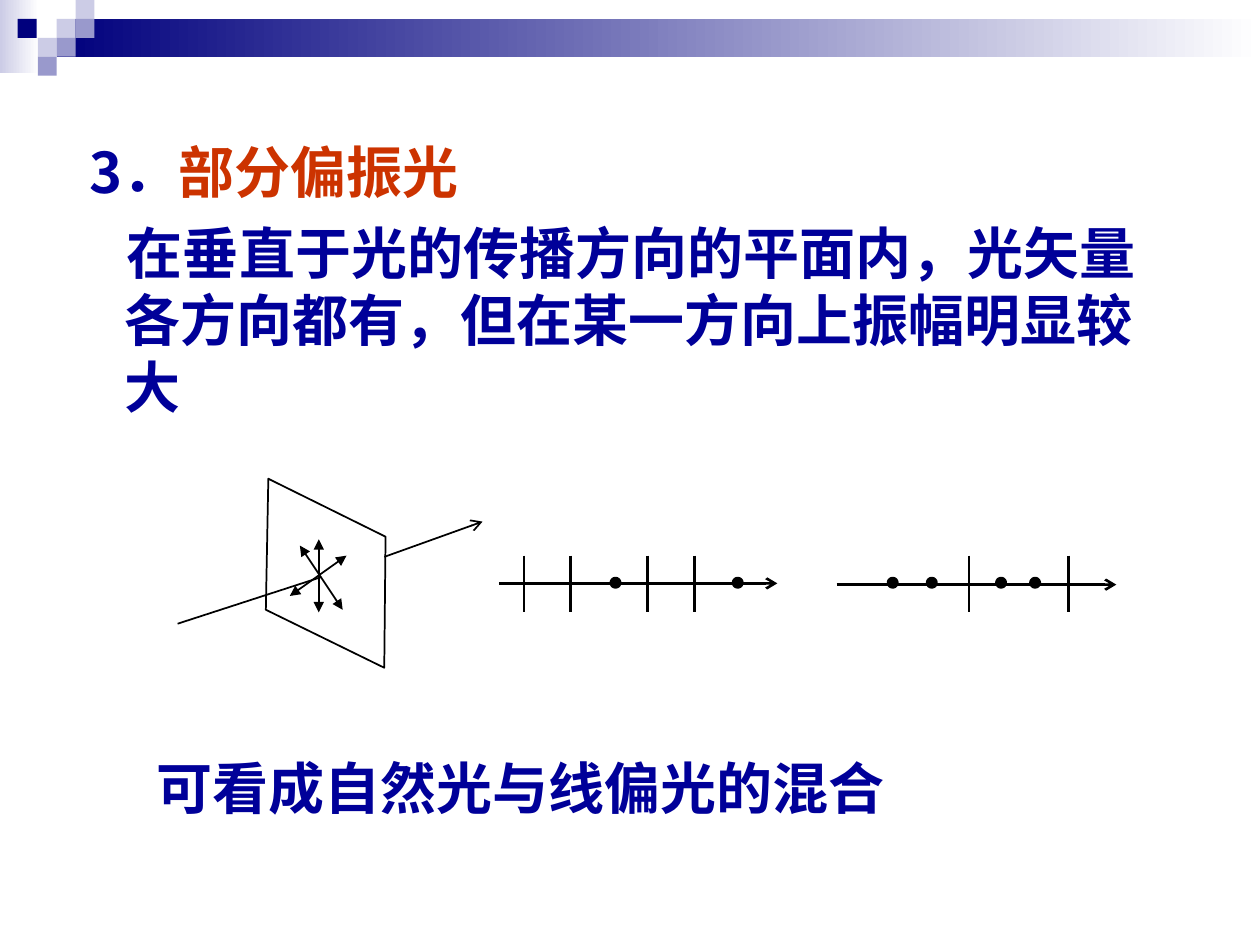
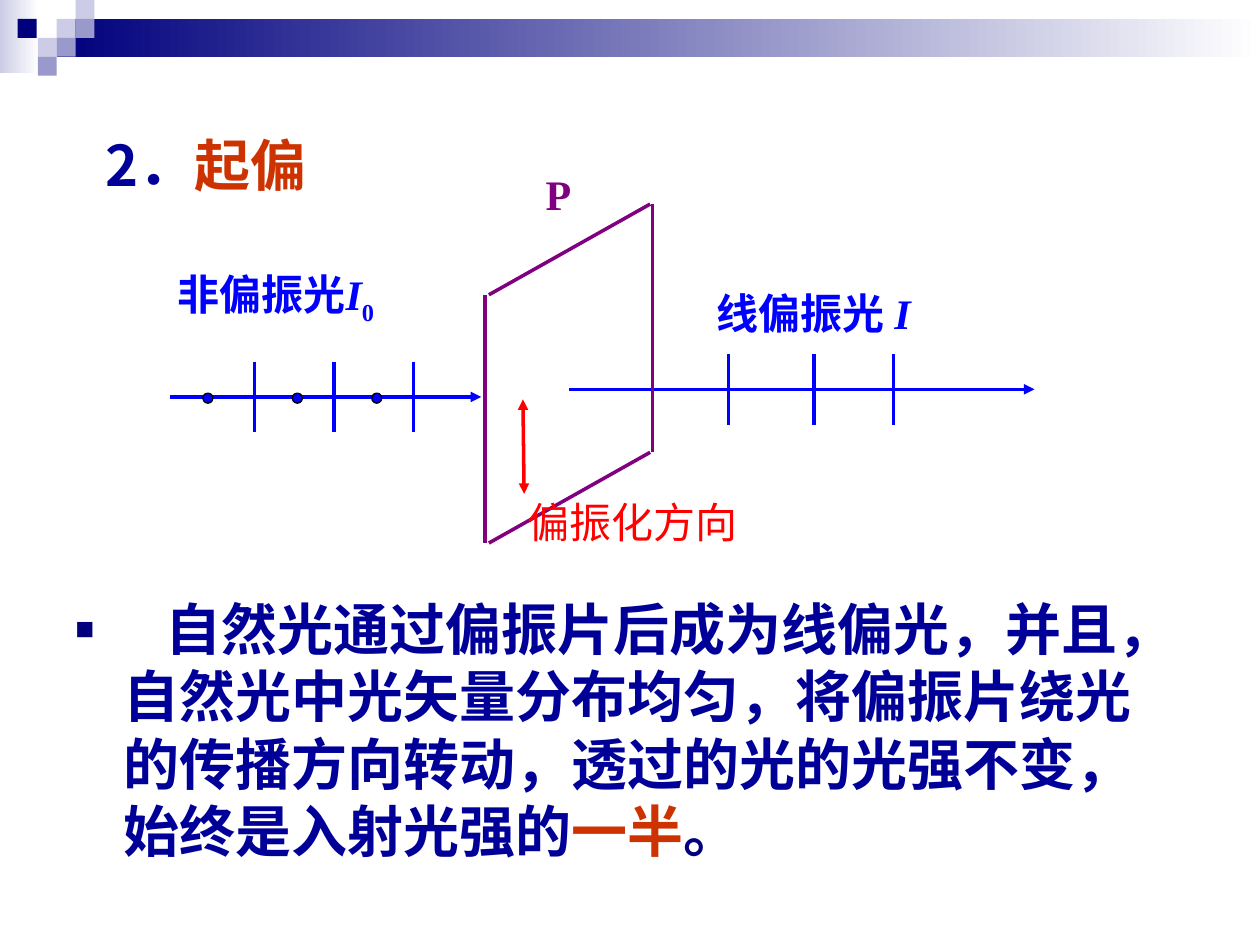
"""Two slides on partially polarized light and on producing polarized light."""
from lxml import etree
from pptx import Presentation
from pptx.dml.color import RGBColor
from pptx.enum.shapes import MSO_CONNECTOR, MSO_SHAPE
from pptx.enum.text import MSO_ANCHOR
from pptx.oxml.ns import qn
from pptx.util import Inches, Pt

RECT, OVAL = MSO_SHAPE.RECTANGLE, MSO_SHAPE.OVAL
STRAIGHT = MSO_CONNECTOR.STRAIGHT
TOP, MIDDLE = MSO_ANCHOR.TOP, MSO_ANCHOR.MIDDLE

WHITE = RGBColor(0xFF, 0xFF, 0xFF)
BLACK = RGBColor(0x00, 0x00, 0x00)
NAVY = RGBColor(0x00, 0x00, 0x7D)
LILAC = RGBColor(0xCC, 0xCC, 0xE6)
VIOLET = RGBColor(0x99, 0x99, 0xCC)
INK = RGBColor(0x00, 0x00, 0x99)
ACCENT = RGBColor(0xCC, 0x33, 0x00)
BLUE = RGBColor(0x00, 0x00, 0xFF)
PURPLE = RGBColor(0x80, 0x00, 0x80)
RED = RGBColor(0xFF, 0x00, 0x00)

CJK, SANS, SERIF = "Noto Sans CJK SC", "Arial", "Times New Roman"
HEADING = {"name": CJK, "size": Pt(32), "bold": True}
BODY = {"name": SANS, "size": Pt(32), "bold": True}
LABEL = {"name": SERIF, "size": Pt(24), "bold": True}


def add_line(s, x1, y1, x2, y2, color, width, head=None, tail=None):
    """Draw a straight line with optional arrowheads."""
    c = s.shapes.add_connector(STRAIGHT, Inches(x1), Inches(y1), Inches(x2), Inches(y2))
    c.line.color.rgb = color
    c.line.width = Pt(width)
    ln = c.line._get_or_add_ln()
    for tag, kind in (("a:headEnd", head), ("a:tailEnd", tail)):
        if kind:
            etree.SubElement(ln, qn(tag)).set("type", kind)
    etree.SubElement(c._element.spPr, qn("a:effectLst"))


def add_text(s, box, paragraphs, style, inset=(0.1, 0.05), anchor=TOP):
    """Add a text box; each paragraph is (left margin, first-line indent, runs)."""
    tf = s.shapes.add_textbox(*map(Inches, box)).text_frame
    tf.word_wrap = True
    tf.vertical_anchor = anchor
    tf.margin_left = tf.margin_right = Inches(inset[0])
    tf.margin_top = tf.margin_bottom = Inches(inset[1])
    for i, (margin, indent, runs) in enumerate(paragraphs):
        p = tf.add_paragraph() if i else tf.paragraphs[0]
        pPr = p._p.get_or_add_pPr()
        pPr.set("marL", str(Inches(margin)))
        pPr.set("indent", str(Inches(indent)))
        p.line_spacing = Pt(round(style["size"].pt * 1.2, 1))
        if i:
            p.space_before = Pt(8)
        for text, color, *extra in runs:
            r = p.add_run()
            r.text = text
            r.font.color.rgb = color
            fmt = {**style, **(extra[0] if extra else {})}
            baseline = fmt.pop("baseline", None)
            for key, value in fmt.items():
                setattr(r.font, key, value)
            rPr = r._r.get_or_add_rPr()
            if baseline:
                rPr.set("baseline", str(baseline))
            rPr.find(qn("a:latin")).addnext(rPr.makeelement(qn("a:ea"), {"typeface": CJK}))
    return tf


prs = Presentation()
prs.slide_width, prs.slide_height = Inches(10), Inches(7.5)
partial, polarizer = [prs.slides.add_slide(prs.slide_layouts[6]) for _ in range(2)]

BAND = [
    (0, 0, 0.31, 0.58, LILAC, True),
    (0.45, 0.15, 9.55, 0.3, NAVY, True),
    (0.14, 0.15, 0.15, 0.15, NAVY, False),
]
BAND += [(x, y, 0.15, 0.15, LILAC, False) for x, y in ((0.45, 0.15), (0.6, 0), (0.3, 0.3))]
BAND += [(x, y, 0.15, 0.15, VIOLET, False) for x, y in ((0.6, 0.15), (0.45, 0.3), (0.3, 0.45))]
for s in (partial, polarizer):
    for x, y, w, h, color, fades in BAND:
        sp = s.shapes.add_shape(RECT, Inches(x), Inches(y), Inches(w), Inches(h))
        sp.shadow.inherit = False
        sp.line.fill.background()
        if fades:
            sp.fill.gradient()
            sp.fill.gradient_angle = 0
            for stop, stop_color in zip(sp.fill.gradient_stops, (color, WHITE)):
                stop.color.rgb = stop_color
        else:
            sp.fill.solid()
            sp.fill.fore_color.rgb = color

add_text(partial, (0.51, 1.04, 9, 2.45), [
    (0.1, 0, [("3．", INK), ("部分偏振光", ACCENT)]),
    (0.38, 0.02, [("在垂直于光的传播方向的平面内，光矢量各方向都有，但在某一方向上振幅明显较大", INK)]),
], HEADING)
add_text(partial, (1.14, 5.93, 7.4, 0.79), [(0, 0, [("可看成自然光与线偏光的混合", INK)])], BODY)

plane = [(Inches(x), Inches(y)) for x, y in ((2.13, 3.8), (3.06, 4.26), (3.05, 5.3), (2.11, 4.84))]
fb = partial.shapes.build_freeform(*plane[0])
fb.add_line_segments(plane[1:], close=True)
sp = fb.convert_to_shape()
sp.shadow.inherit = False
sp.fill.background()
sp.line.color.rgb = BLACK
sp.line.width = Pt(1)

add_line(partial, 1.41, 4.95, 2.55, 4.58, BLACK, 1)
add_line(partial, 3.05, 4.42, 3.83, 4.14, BLACK, 1, tail="arrow")
for ends in ((2.53, 4.28, 2.53, 4.86), (2.38, 4.33, 2.72, 4.84), (2.3, 4.73, 2.75, 4.41)):
    add_line(partial, *ends, BLACK, 1, "triangle", "triangle")

for x1, x2, y, ticks in ((3.96, 6.17, 4.63, (4.16, 4.53, 5.14, 5.51)), (6.64, 8.86, 4.64, (7.69, 8.48))):
    add_line(partial, x1, y, x2, y, BLACK, 1.5, tail="arrow")
    for x in ticks:
        add_line(partial, x, 4.41, x, 4.86, BLACK, 1.5)

add_text(polarizer, (0.74, 0.86, 6.31, 0.89), [
    (0, 0, [("2．", INK), ("起偏", ACCENT)]),
], HEADING, anchor=MIDDLE)
tf = add_text(polarizer, (0.5, 4.67, 9, 2.52), [(0.38, -0.38, [
    ("　", INK, {"size": Pt(24)}),
    ("自然光通过偏振片后成为线偏光，并且，自然光中光矢量分布均匀，将偏振片绕光的传播方向转动，透过的光的光强不变，始终是入射光强的", INK),
    ("一半", ACCENT),
    ("。", NAVY),
])], BODY)
pPr = tf.paragraphs[0]._p.get_or_add_pPr()
etree.SubElement(etree.SubElement(pPr, qn("a:buClr")), qn("a:srgbClr")).set("val", str(NAVY))
for tag, key, value in (("a:buSzPct", "val", "75000"), ("a:buFont", "typeface", SANS), ("a:buChar", "char", "■")):
    etree.SubElement(pPr, qn(tag)).set(key, value)

LABELS = [
    ((1.4, 2.18, 2.42, 0.8), [
        ("非偏振光", BLUE), ("I", BLUE, {"italic": True}), ("0", BLUE, {"baseline": -25000}),
    ]),
    ((5.68, 2.27, 2.61, 0.72), [("线偏振光 ", BLUE), ("I", BLUE, {"italic": True})]),
    ((4.32, 1.33, 0.86, 0.78), [("P", PURPLE)]),
    ((4.18, 3.93, 3.03, 1.72), [("偏振化方向", RED, {"bold": False})]),
]
for x1, x2, y, ticks in ((4.52, 8.21, 3.09, (5.78, 6.46, 7.09)), (1.35, 3.82, 3.15, (2.02, 2.65, 3.28))):
    add_line(polarizer, x1, y, x2, y, BLUE, 2, tail="triangle")
    for x in ticks:
        add_line(polarizer, x, y - 0.28, x, y + 0.28, BLUE, 2)
for x, y in ((3.85, 2.34), (5.18, 1.62)):
    add_line(polarizer, x, y, x, y + 1.97, PURPLE, 2)
for y in (2.34, 4.31):
    add_line(polarizer, 3.88, y, 5.16, y - 0.72, PURPLE, 2)
add_line(polarizer, 4.15, 3.17, 4.16, 3.92, RED, 2, "triangle", "triangle")
for box, runs in LABELS:
    add_text(polarizer, box, [(0, 0, runs)], LABEL, inset=(0.01, 0.01))

DOTS = [
    (partial, (4.86, 5.83, 7.06, 7.37, 7.92, 8.19), 4.6, 0.05, WHITE, 3.25),
    (polarizer, (1.61, 2.32, 2.95), 3.12, 0.08, BLUE, 0.75),
]
for s, lefts, top, size, color, width in DOTS:
    for left in lefts:
        sp = s.shapes.add_shape(OVAL, Inches(left), Inches(top), Inches(size), Inches(size))
        sp.shadow.inherit = False
        sp.fill.solid()
        sp.fill.fore_color.rgb = color
        sp.line.color.rgb = BLACK
        sp.line.width = Pt(width)

prs.save("out.pptx")
